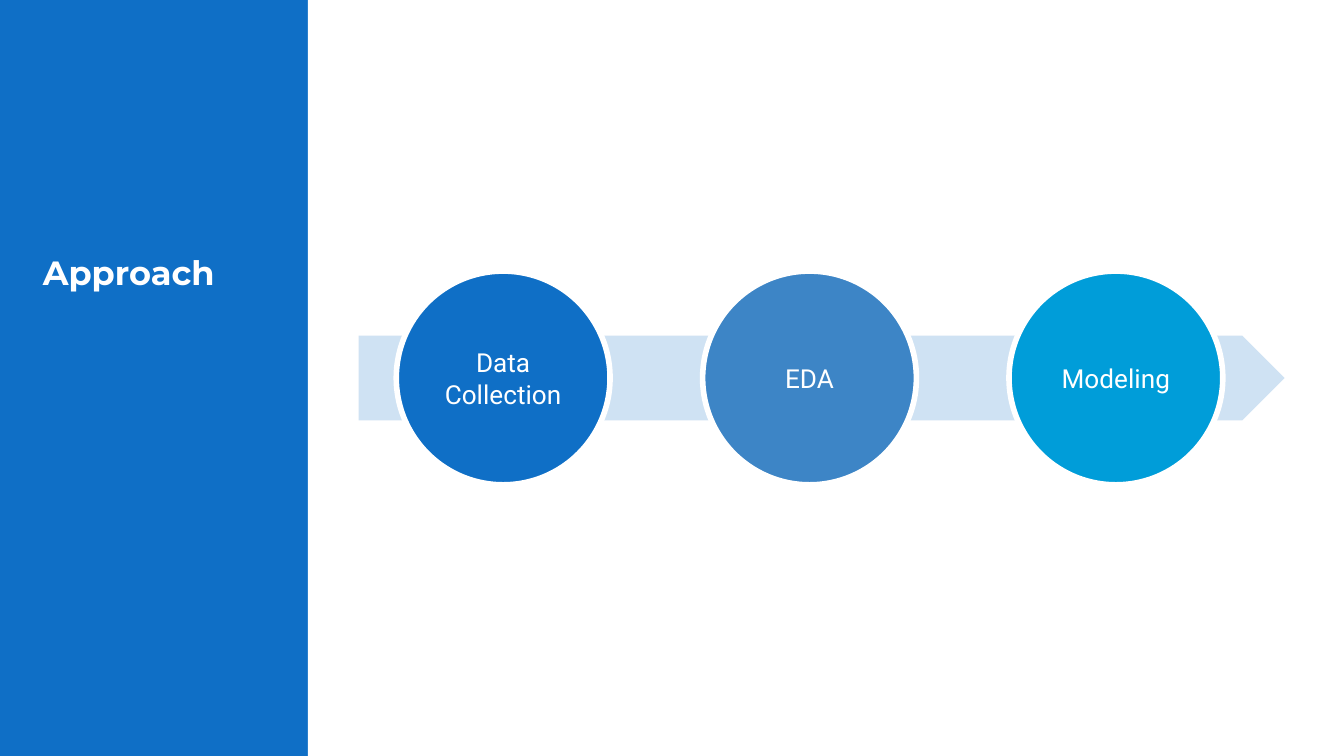
from pptx import Presentation
from pptx.dml.color import RGBColor
from pptx.enum.shapes import MSO_SHAPE as Shape
from pptx.enum.text import MSO_ANCHOR as Anchor, PP_ALIGN as Align
from pptx.util import Cm, Pt

WIDTH, HEIGHT = 25.4, 14.29
BLUE, WHITE, PALE_BLUE = "0F6FC6", "FFFFFF", "CFE2F3"
STEPS = [("Data\nCollection", BLUE), ("EDA", "3D85C6"), ("Modeling", "009DD9")]


def rgb(value):
    return RGBColor.from_string(value)


class ProcessSlide:
    heading = {"name": "Montserrat", "size": Pt(18), "bold": True}
    label = {"name": "Roboto", "size": Pt(14)}
    inset = Cm(0.25)

    def __init__(self, presentation, background):
        self.slide = presentation.slides.add_slide(presentation.slide_layouts[6])
        fill = self.slide.background.fill
        fill.solid()
        fill.fore_color.rgb = rgb(background)

    def set_text(self, frame, text, style, align, anchor):
        """Fill a text frame, one paragraph per line of text."""
        frame.text = text
        layout = {"word_wrap": True, "vertical_anchor": anchor}
        layout |= {f"margin_{side}": self.inset for side in ("left", "top", "right", "bottom")}
        for name, value in layout.items():
            setattr(frame, name, value)
        for paragraph in frame.paragraphs:
            paragraph.alignment = align
            for name, value in style.items():
                setattr(paragraph.font, name, value)
            paragraph.font.color.rgb = rgb(WHITE)

    def title(self, text, left, top, width, height):
        box = self.slide.shapes.add_textbox(Cm(left), Cm(top), Cm(width), Cm(height))
        self.set_text(box.text_frame, text, self.heading, Align.LEFT, Anchor.TOP)

    def block(self, kind, color, left, top, width, height):
        """Add a flat filled shape without outline."""
        block = self.slide.shapes.add_shape(kind, Cm(left), Cm(top), Cm(width), Cm(height))
        block.shadow.inherit = False
        block.fill.solid()
        block.fill.fore_color.rgb = rgb(color)
        block.line.fill.background()
        return block

    def step(self, text, color, left, top, diameter):
        circle = self.block(Shape.OVAL, color, left, top, diameter, diameter)
        circle.line.color.rgb = rgb(WHITE)
        circle.line.width = Pt(3)
        self.set_text(circle.text_frame, text, self.label, Align.CENTER, Anchor.MIDDLE)


def main():
    presentation = Presentation()
    presentation.slide_width, presentation.slide_height = Cm(WIDTH), Cm(HEIGHT)
    approach = ProcessSlide(presentation, BLUE)

    sidebar = 5.82
    approach.block(Shape.RECTANGLE, WHITE, sidebar, 0, WIDTH - sidebar, HEIGHT)
    approach.title("Approach", 0.56, 4.52, 4.75, 2.39)

    middle, arrow_height, diameter = HEIGHT / 2, 1.6, 4.04
    approach.block(Shape.PENTAGON, PALE_BLUE, 6.78, middle - arrow_height / 2, 17.5, arrow_height)
    first_left, pitch = 7.49, 5.79
    for index, (text, color) in enumerate(STEPS):
        approach.step(text, color, first_left + index * pitch, middle - diameter / 2, diameter)

    presentation.save("out.pptx")


if __name__ == "__main__":
    main()
